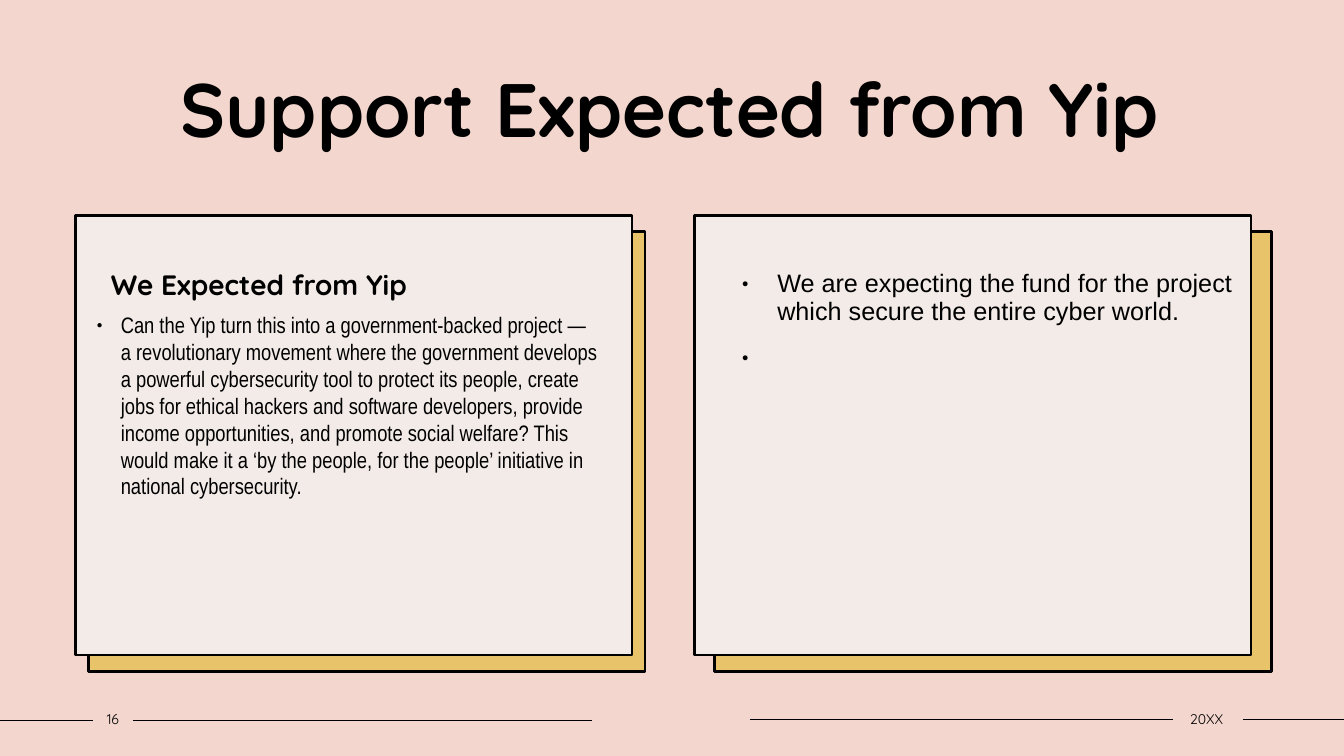
import pptx
import pptx.util
import pptx.oxml
import pptx.oxml.ns
import pptx.dml.color
import pptx.enum.shapes
import pptx.enum.text
import lxml.etree

PINK = pptx.dml.color.RGBColor(0xF3, 0xD6, 0xCD)
GOLD = pptx.dml.color.RGBColor(0xE9, 0xC3, 0x69)
CREAM = pptx.dml.color.RGBColor(0xF3, 0xEB, 0xE8)
BLACK = pptx.dml.color.RGBColor(0, 0, 0)

WIDTH = pptx.util.Inches(13.33)
HEIGHT = pptx.util.Inches(7.5)
CENTER = pptx.enum.text.PP_ALIGN.CENTER
LEFT = pptx.enum.text.PP_ALIGN.LEFT
TOP = pptx.enum.text.MSO_ANCHOR.TOP
MIDDLE = pptx.enum.text.MSO_ANCHOR.MIDDLE

CARD_TOP, CARD_WIDTH, CARD_HEIGHT = 28.53, 41.4, 58.13
BACKING_TOP = 30.67
CARD_INSETS = (0.35, 0.55, 0.1, 0.05)
BOX_INSETS = (0.1, 0.05, 0.1, 0.05)
FOOTER_INSETS = (0, 0.05, 0, 0.05)

REQUEST = (
    "Can the Yip turn this into a government-backed project — a revolutionary "
    "movement where the government develops a powerful cybersecurity tool to "
    "protect its people, create jobs for ethical hackers and software developers, "
    "provide income opportunities, and promote social welfare? This would make it "
    "a ‘by the people, for the people’ initiative in national cybersecurity."
)
FUNDING = "We are expecting the fund for the project which secure the entire cyber world."


def across(percent):
    return round(WIDTH * percent / 100)


def down(percent):
    return round(HEIGHT * percent / 100)


def place(left, top, width, height):
    return across(left), down(top), across(width), down(height)


def add_rule(page, start, end, level):
    rule = page.shapes.add_connector(
        pptx.enum.shapes.MSO_CONNECTOR.STRAIGHT,
        across(start), down(level), across(end), down(level))
    rule.line.color.rgb = BLACK
    rule.line.width = pptx.util.Pt(1)
    lxml.etree.SubElement(rule._element.spPr, pptx.oxml.ns.qn("a:effectLst"))


def add_panel(page, left, top, fill):
    panel = page.shapes.add_shape(
        pptx.enum.shapes.MSO_SHAPE.RECTANGLE,
        *place(left, top, CARD_WIDTH, CARD_HEIGHT))
    panel.shadow.inherit = False
    panel.fill.solid()
    panel.fill.fore_color.rgb = fill
    panel.line.color.rgb = BLACK
    panel.line.width = pptx.util.Pt(2)
    return panel


def set_frame(shape, insets, anchor=TOP):
    frame = shape.text_frame
    frame.word_wrap = True
    frame.vertical_anchor = anchor
    (frame.margin_left, frame.margin_top,
     frame.margin_right, frame.margin_bottom) = map(pptx.util.Inches, insets)
    return frame


def add_box(page, area, insets, anchor=TOP):
    return set_frame(page.shapes.add_textbox(*place(*area)), insets, anchor)


def write(para, text, size, font, bold=False, align=LEFT, before=0, spacing=1.0):
    para.text = text
    para.alignment = align
    para.space_before = pptx.util.Pt(before)
    para.line_spacing = spacing
    para.font.size = pptx.util.Pt(size)
    para.font.name = font
    para.font.bold = bold
    para.font.color.rgb = BLACK


def add_bullet(para, margin, hanging):
    properties = para._p.get_or_add_pPr()
    properties.set("marL", str(pptx.util.Inches(margin)))
    properties.set("indent", str(-pptx.util.Inches(hanging)))
    defaults = properties.find(pptx.oxml.ns.qn("a:defRPr"))
    namespace = pptx.oxml.ns.nsdecls("a")
    for markup in (
        f'<a:buClr {namespace}><a:srgbClr val="{BLACK}"/></a:buClr>',
        f'<a:buSzPct {namespace} val="45000"/>',
        f'<a:buFont {namespace} typeface="Arial"/>',
        f'<a:buChar {namespace} char="●"/>',
    ):
        defaults.addprevious(pptx.oxml.parse_xml(markup))


def add_footer(page, left, width, text):
    frame = add_box(page, (left, 93.33, width, 3.6), FOOTER_INSETS, MIDDLE)
    write(frame.paragraphs[0], text, 10, "Quicksand", align=CENTER)


def main():
    deck = pptx.Presentation()
    deck.slide_width, deck.slide_height = WIDTH, HEIGHT
    page = deck.slides.add_slide(deck.slide_layouts[6])
    page.background.fill.solid()
    page.background.fill.fore_color.rgb = PINK

    for start, end, level in ((0, 6.9, 95.33), (9.9, 44.03, 95.33),
                              (55.8, 87.3, 95.2), (92.48, 100, 95.2)):
        add_rule(page, start, end, level)
    for left in (6.6, 53.18):
        add_panel(page, left, BACKING_TOP, GOLD)

    title = add_box(page, (3.68, 7.47, 92.25, 5.6), BOX_INSETS)
    write(title.paragraphs[0], "Support Expected from Yip", 54, "Quicksand",
          bold=True, align=CENTER)

    heading = set_frame(add_panel(page, 5.63, CARD_TOP, CREAM), CARD_INSETS)
    write(heading.paragraphs[0], "We Expected from Yip", 20, "Quicksand",
          bold=True, before=10, spacing=0.9)

    request = add_box(page, (6.45, 40.53, 38.93, 42.4), BOX_INSETS)
    write(request.paragraphs[0], REQUEST, 16, "Arial Narrow", before=10)
    add_bullet(request.paragraphs[0], 0.24, 0.24)

    funding = set_frame(add_panel(page, 51.68, CARD_TOP, CREAM), CARD_INSETS)
    for para, text in ((funding.paragraphs[0], FUNDING), (funding.add_paragraph(), " ")):
        write(para, text, 18, "Arial", before=14.2, spacing=0.9)
        add_bullet(para, 0.47, 0.35)

    add_footer(page, 6.9, 3, "16")
    add_footer(page, 87.15, 5.25, "20XX")
    deck.save("out.pptx")


if __name__ == "__main__":
    main()
